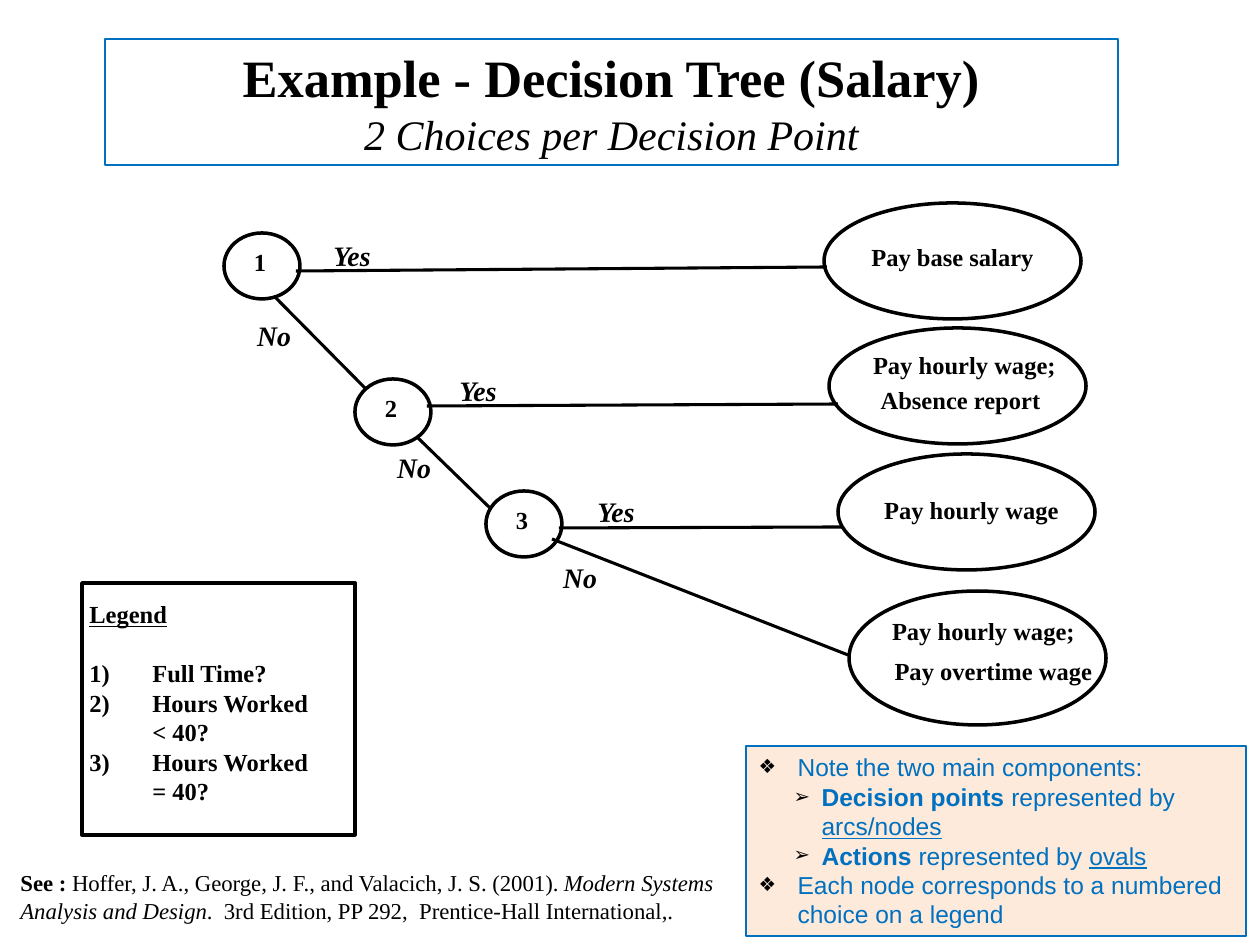
from lxml.etree import SubElement
from pptx import Presentation
from pptx.dml.color import RGBColor
from pptx.enum.shapes import MSO_CONNECTOR, MSO_SHAPE
from pptx.enum.text import MSO_ANCHOR, MSO_AUTO_SIZE, PP_ALIGN
from pptx.oxml.ns import qn
from pptx.util import Pt

PX = 914400 / 126
HEX = {"ink": "000000", "paper": "FFFFFF", "blue": "0070C0", "peach": "FDEADA"}
RGB = {name: RGBColor.from_string(code) for name, code in HEX.items()}
SERIF, SANS = "Times New Roman", "Arial"


def px(*nums):
    return [round(n * PX) for n in nums]


def write(para, runs, size, face=SERIF, tint="ink"):
    """Add runs given as (text, style), style being letters from b, i, u."""
    for text, style in runs:
        run = para.add_run()
        run.text = text
        font = run.font
        font.name, font.size = face, Pt(size)
        font.color.rgb = RGB[tint]
        font.bold, font.italic = "b" in style, "i" in style
        font.underline = "u" in style


deck = Presentation()
deck.slide_width, deck.slide_height = px(1260, 945)
slide = deck.slides.add_slide(deck.slide_layouts[1])
shapes = slide.shapes

# Title
title = shapes.title
title.left, title.top, title.width, title.height = px(105, 39, 1013, 126)
title.line.color.rgb, title.line.width = RGB["blue"], Pt(1)
frame = title.text_frame
frame.auto_size = MSO_AUTO_SIZE.NONE
frame.vertical_anchor = MSO_ANCHOR.MIDDLE
heads = [("Example - Decision Tree (Salary)", "b", 30),
         ("2 Choices per Decision Point", "i", 24)]
for i, (text, style, size) in enumerate(heads):
    para = frame.add_paragraph() if i else frame.paragraphs[0]
    para.alignment = PP_ALIGN.CENTER
    write(para, [(text, style)], size)

# Legend frame, decision nodes and action ovals
nodes = [(224, 233), (355, 379), (486, 491)]
ovals = [(824, 203, 116), (829, 328, 116), (838, 454, 116), (849, 591, 134)]
forms = [(MSO_SHAPE.RECTANGLE, 82, 583, 273, 252)]
forms += [(MSO_SHAPE.OVAL, x, y, 76, 66) for x, y in nodes]
forms += [(MSO_SHAPE.OVAL, x, y, 257, h) for x, y, h in ovals]
for kind, *box in forms:
    form = shapes.add_shape(kind, *px(*box))
    form.shadow.inherit = False
    form.fill.solid()
    form.fill.fore_color.rgb = RGB["paper"]
    form.line.color.rgb, form.line.width = RGB["ink"], Pt(2)

# Branches
arcs = [(827, 267, 296, 271), (365, 388, 275, 297), (838, 404, 427, 406),
        (490, 508, 417, 437), (843, 527, 559, 528), (848, 655, 552, 539)]
for ends in arcs:
    arc = shapes.add_connector(MSO_CONNECTOR.STRAIGHT, *px(*ends))
    arc.line.color.rgb, arc.line.width = RGB["ink"], Pt(1.75)
    SubElement(arc._element.spPr, qn("a:effectLst"))

# Labels: text, box, size, style, turn
labels = [(str(i), (x + 10, y + 8, 52, 73), 14, "b", 0)
          for i, (x, y) in enumerate(nodes, 1)]
labels += [(text, (x, y, 100, 46), 16, "bi", 359.2) for text, x, y in [
    ("Yes", 302, 232), ("Yes", 428, 367), ("Yes", 566, 488),
    ("No", 224, 312), ("No", 364, 444), ("No", 530, 554)]]
labels += [(text, box, 14, "b", 0) for text, box in [
    ("Pay base salary", (850, 236, 205, 50)),
    ("Pay hourly wage;", (857, 344, 215, 50)),
    ("Absence report", (858, 379, 205, 50)),
    ("Pay hourly wage", (864, 489, 215, 50)),
    ("Pay hourly wage;", (876, 610, 215, 58)),
    ("Pay overtime wage", (874, 650, 239, 58))]]
for text, box, size, style, turn in labels:
    label = shapes.add_textbox(*px(*box))
    label.rotation = turn
    label.text_frame.word_wrap = True
    para = label.text_frame.paragraphs[0]
    para.alignment = PP_ALIGN.CENTER
    write(para, [(text, style)], size)

# Legend text
frame = shapes.add_textbox(*px(77, 593, 262, 215)).text_frame
frame.word_wrap = True
para = frame.paragraphs[0]
para.space_after = Pt(17)
write(para, [("Legend", "bu")], 14)
for text in ("Full Time?", "Hours Worked < 40?", "Hours Worked = 40?"):
    para = frame.add_paragraph()
    prop = para._p.get_or_add_pPr()
    left, = px(63)
    prop.set("marL", str(left))
    prop.set("indent", str(-left))
    SubElement(prop, qn("a:buFont"), typeface="+mj-lt")
    SubElement(prop, qn("a:buAutoNum"), type="arabicParenR")
    write(para, [(text, "b")], 14)

# Reference
frame = shapes.add_textbox(*px(8, 863, 752, 60)).text_frame
frame.word_wrap = True
write(frame.paragraphs[0], [
    ("See : ", "b"),
    ("Hoffer, J. A., George, J. F., and Valacich, J. S. (2001). ", ""),
    ("Modern Systems Analysis and Design", "i"),
    (".  3rd Edition, PP 292,  Prentice-Hall International,.", "")], 13)

# Notes on the components
body = slide.placeholders[1]
body.left, body.top, body.width, body.height = px(746, 746, 500, 190)
body.fill.solid()
body.fill.fore_color.rgb = RGB["peach"]
body.line.color.rgb, body.line.width = RGB["blue"], Pt(0.75)
frame = body.text_frame
frame.auto_size = MSO_AUTO_SIZE.NONE
points = [
    (0, [("Note the two main components:", "")]),
    (1, [("Decision points", "b"), (" represented by ", ""),
         ("arcs/nodes", "u")]),
    (1, [("Actions ", "b"), ("represented by ", ""), ("ovals", "u")]),
    (0, [("Each node corresponds to a numbered choice on a legend", "")])]
marks = [("❖", 39, 39), ("➢", 63, 28)]
for i, (level, runs) in enumerate(points):
    para = frame.add_paragraph() if i else frame.paragraphs[0]
    para.level = level
    para.space_before = Pt(0)
    mark, left, hang = marks[level]
    left, hang = px(left, hang)
    prop = para._p.get_or_add_pPr()
    prop.set("marL", str(left))
    prop.set("indent", str(-hang))
    tint = SubElement(prop, qn("a:buClr"))
    SubElement(tint, qn("a:srgbClr"), val=HEX["ink"])
    SubElement(prop, qn("a:buSzPct"), val="80000")
    SubElement(prop, qn("a:buChar"), char=mark)
    write(para, runs, 14, SANS, "blue")

# Bring the notes to the front
shapes._spTree.append(body._element)

deck.save("out.pptx")
